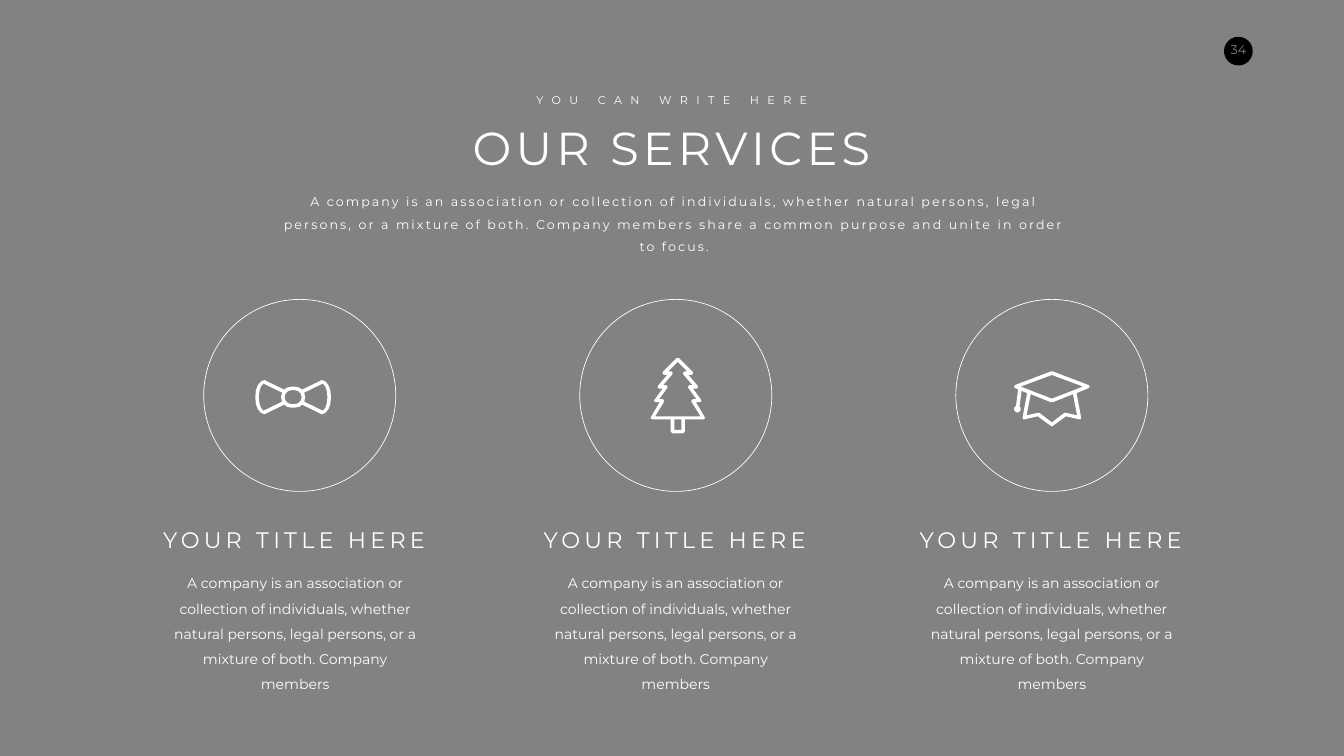
from lxml.etree import SubElement
from pptx import Presentation
from pptx.dml.color import RGBColor
from pptx.enum.shapes import MSO_SHAPE
from pptx.enum.text import MSO_AUTO_SIZE, PP_ALIGN
from pptx.oxml.ns import qn
from pptx.util import Inches, Pt

WHITE = "FFFFFF"
BLACK = "000000"
INTRO = ("A company is an association or collection of individuals, whether natural "
         "persons, legal persons, or a mixture of both. Company members share a common "
         "purpose and unite in order to focus.")
BODY = ("A company is an association or collection of individuals, whether natural "
        "persons, legal persons, or a mixture of both. Company members")


def color(code):
    return RGBColor.from_string(code)


def flip(points, across=-1, down=1):
    return points + [(x * across, y * down) for x, y in reversed(points)]


def bow():
    edge = [(0, -21), (3, -21), (12, -19), (18, -15), (57, -34),
            (64, -31), (70, -24), (74, -13), (75, 0)]
    knot = [(0, -14), (3, -14), (10, -12), (15, -7), (17, 0)]
    wing = flip([(24, 0), (22, -9), (59, -27), (64, -21), (67, -11), (68, 0)], 1, -1)
    left = [(-x, y) for x, y in wing]
    return [flip(flip(edge, 1, -1)), flip(flip(knot, 1, -1)), wing, left]


def tree():
    edge = [(0, -75), (3, -74), (30, -47), (30, -43), (27, -41), (21, -41),
            (39, -20), (40, -16), (37, -14), (30, -14), (46, 8), (47, 11),
            (44, 13), (36, 13), (53, 42), (54, 45), (51, 47), (14, 47),
            (14, 71), (11, 75)]
    crown = [(0, -67), (19, -48), (13, -48), (10, -45), (11, -42), (29, -21),
             (23, -21), (20, -17), (21, -15), (37, 7), (30, 7), (27, 10),
             (27, 12), (45, 41)]
    trunk = [(7, 47), (7, 68)]
    return [flip(edge), flip(crown), flip(trunk)]


def cap():
    edge = [(0, -55), (2, -55), (73, -28), (75, -25), (73, -22), (49, -12),
            (58, 36), (57, 40), (54, 40), (28, 34), (2, 53), (0, 54)]
    board = [(0, -48), (62, -25), (0, -1)]
    band = [(0, 6), (2, 6), (42, -10), (50, 32), (28, 27), (25, 27), (0, 46)]
    tassel = [(-67, -19), (-71, 13), (-75, 17), (-75, 22), (-71, 26), (-66, 26),
              (-62, 22), (-62, 17), (-64, 14), (-60, -17)]
    return [flip(edge), flip(board), flip(band), tassel]


def add_text(slide, box, text, size, spread=0, lead=None, wrap=False, side=0.1):
    shape = slide.shapes.add_textbox(*[Inches(v) for v in box])
    frame = shape.text_frame
    frame.word_wrap = wrap
    frame.auto_size = MSO_AUTO_SIZE.SHAPE_TO_FIT_TEXT
    frame.margin_left = frame.margin_right = Inches(side)
    frame.margin_top = frame.margin_bottom = Inches(side / 2)
    line = frame.paragraphs[0]
    line.alignment = PP_ALIGN.CENTER
    if lead:
        line.line_spacing = lead
    run = line.add_run()
    run.text = text
    run.font.name = "Montserrat"
    run.font.size = Pt(size)
    run.font.color.rgb = color(WHITE)
    if spread:
        run._r.get_or_add_rPr().set("spc", str(spread * 100))


def add_form(slide, kind, box, fill=None, line=None, alpha=None):
    shape = slide.shapes.add_shape(kind, *[Inches(v) for v in box])
    shape.shadow.inherit = False
    if fill:
        shape.fill.solid()
        shape.fill.fore_color.rgb = color(fill)
    else:
        shape.fill.background()
    if line:
        shape.line.color.rgb = color(line)
        shape.line.width = Pt(1)
    else:
        shape.line.fill.background()
    if alpha:
        tint = shape.fill._xPr.find(qn("a:solidFill"))[0]
        SubElement(tint, qn("a:alpha")).set("val", str(alpha * 1000))


def add_icon(slide, x, y, loops):
    pen = slide.shapes.build_freeform(*loops[0][0], scale=Inches(0.01))
    pen.add_line_segments(loops[0][1:], close=True)
    for loop in loops[1:]:
        pen.move_to(*loop[0])
        pen.add_line_segments(loop[1:], close=True)
    shape = pen.convert_to_shape(Inches(x), Inches(y))
    shape.shadow.inherit = False
    shape.fill.solid()
    shape.fill.fore_color.rgb = color(WHITE)
    shape.line.fill.background()


def add_badge(slide, x, y, size):
    add_form(slide, MSO_SHAPE.OVAL, (x, y, size, size), fill=BLACK)
    add_text(slide, (x - 0.15, y, size + 0.3, 0.5), "34", 18, side=0.2)


def add_head(slide, x, y, width):
    add_text(slide, (x + 3.88, y + 0.5, width - 7.86, 1.21), "OUR SERVICES", 66, spread=6)
    add_text(slide, (x + 5.08, y, width - 10.25, 0.37), "YOU CAN WRITE HERE", 16, spread=12)
    add_text(slide, (x, y + 1.84, width, 0.95), INTRO, 18, spread=3, lead=1.5, wrap=True)


def add_card(slide, x, y, width, loops, shift, slide_x, drop):
    ring = 3.81
    add_form(slide, MSO_SHAPE.OVAL, (x + (width - ring) / 2, y, ring, ring), line=WHITE)
    add_icon(slide, x + width / 2 + slide_x, y + drop, loops)
    left = x + shift
    add_text(slide, (left - 0.13, y + 4.45, width + 0.22, 0.64), "YOUR TITLE HERE", 32, spread=6)
    add_text(slide, (left, y + 5.25, width, 2.12), BODY, 20, lead=1.5, wrap=True)


def main():
    deck = Presentation()
    deck.slide_width = Inches(26.66)
    deck.slide_height = Inches(15)
    slide = deck.slides.add_slide(deck.slide_layouts[6])
    slide.background.fill.solid()
    slide.background.fill.fore_color.rgb = color(WHITE)
    add_badge(slide, 24.28, 0.73, 0.57)
    add_form(slide, MSO_SHAPE.RECTANGLE, (0, 0, 26.66, 15), fill=BLACK, alpha=49)
    add_head(slide, 5.36, 1.81, 16.03)
    cards = [(bow(), -0.09, -0.13, 1.94), (tree(), 0, 0.04, 1.91), (cap(), 0, 0, 1.98)]
    for i, card in enumerate(cards):
        add_card(slide, 3.32 + 7.46 * i, 5.94, 5.25, *card)
    deck.save("out.pptx")


if __name__ == "__main__":
    main()
